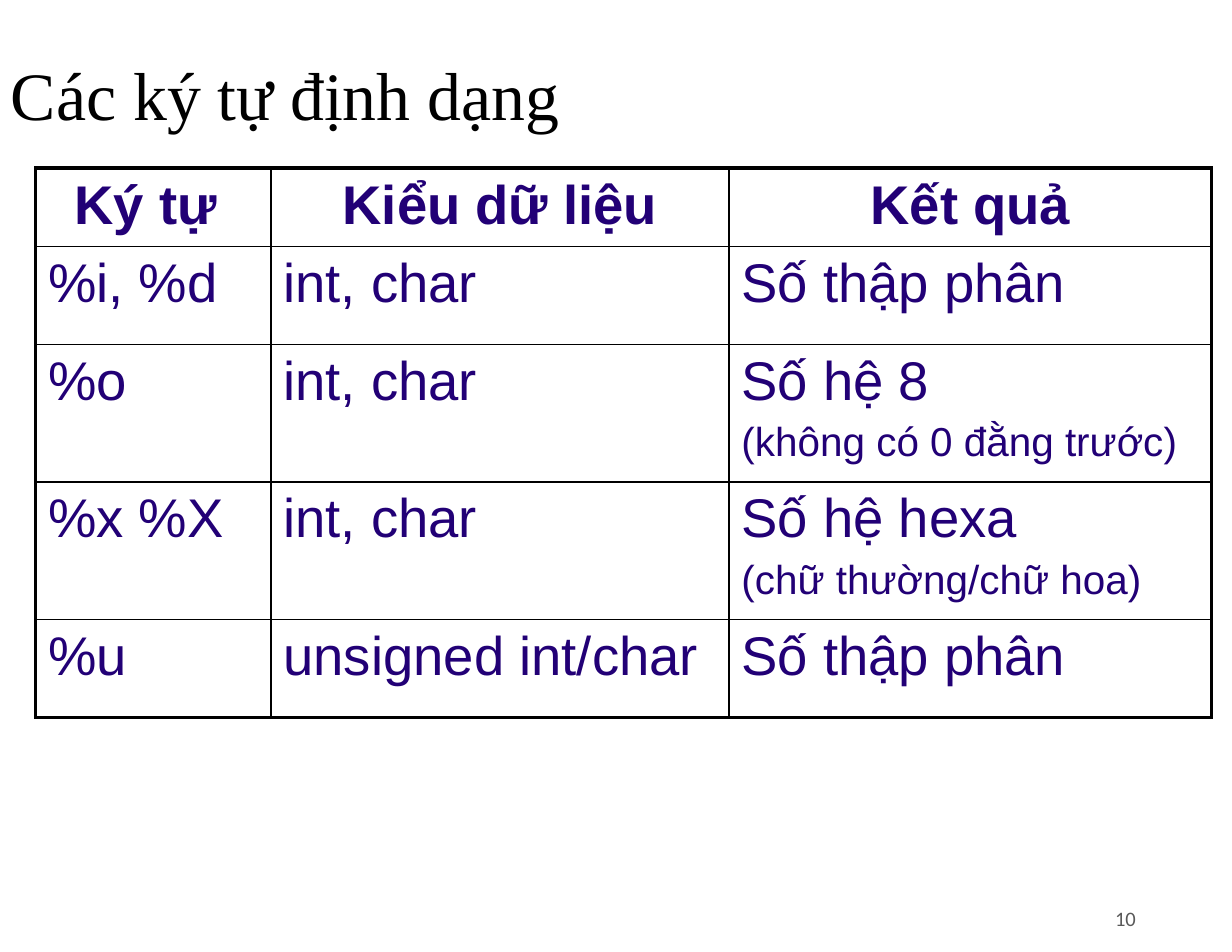
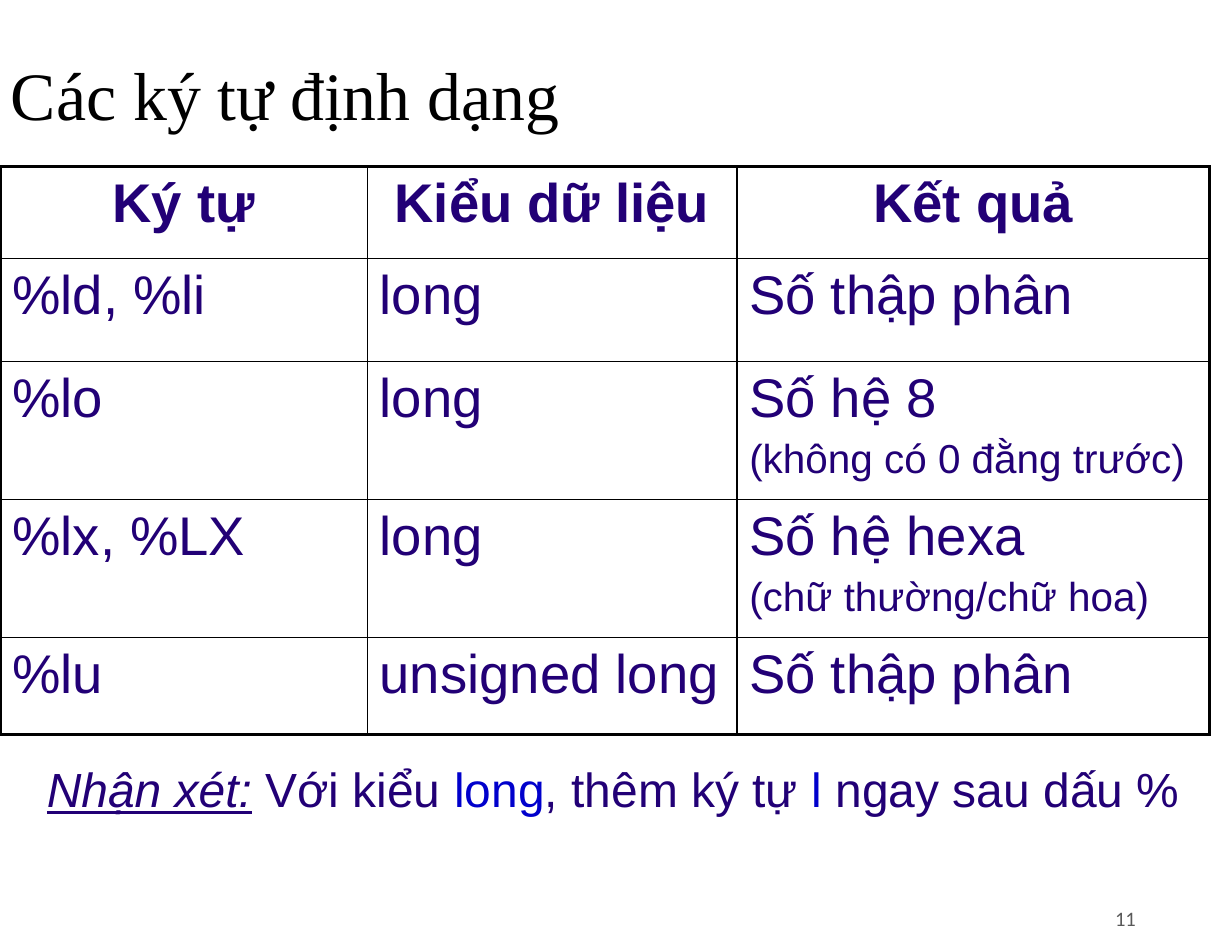
"""Build two slides of tables listing the printf format characters."""
from lxml import etree
from pptx import Presentation
from pptx.dml.color import RGBColor
from pptx.enum.text import MSO_ANCHOR, PP_ALIGN
from pptx.oxml.ns import qn
from pptx.util import Inches, Pt

LEFT, CENTER, RIGHT = PP_ALIGN.LEFT, PP_ALIGN.CENTER, PP_ALIGN.RIGHT
TOP, MIDDLE = MSO_ANCHOR.TOP, MSO_ANCHOR.MIDDLE

BLACK = RGBColor(0x00, 0x00, 0x00)
INDIGO = RGBColor(0x22, 0x00, 0x76)
BLUE = RGBColor(0x00, 0x00, 0xCC)
GRAY = RGBColor(0x59, 0x59, 0x59)

TITLE = "Các ký tự định dạng"
OUTER, INNER = 2.25, 1
DECIMAL = ["Số thập phân"]
OCTAL = ["Số hệ 8", "(không có 0 đằng trước)"]

PAGES = [
    {
        "number": "10",
        "corner": (0.32, 1.5),
        "widths": [2.1, 4.09, 4.31],
        "heights": [0.7, 0.87, 1.23, 1.23, 0.87],
        "rows": [
            [["Ký tự "], ["Kiểu dữ liệu"], ["Kết quả"]],
            [["%i, %d"], ["int, char"], DECIMAL],
            [["%o"], ["int, char"], OCTAL],
            [["%x %X"], ["int, char"], ["Số hệ hexa", "(chữ thường/chữ hoa)"]],
            [["%u"], ["unsigned int/char"], DECIMAL],
        ],
        "remark": [],
    },
    {
        "number": "11",
        "corner": (0, 1.49),
        "widths": [3.28, 3.3, 4.22],
        "heights": [0.82, 0.92, 1.23, 1.23, 0.87],
        "rows": [
            [["Ký tự"], ["Kiểu dữ liệu"], ["Kết quả"]],
            [["%ld, %li"], ["long"], DECIMAL],
            [["%lo"], ["long"], OCTAL],
            [["%lx, %LX"], ["long"], ["Số hệ hexa ", "(chữ thường/chữ hoa)"]],
            [["%lu"], ["unsigned long"], DECIMAL],
        ],
        "remark": [
            ("Nhận xét:", INDIGO, True),
            (" Với kiểu ", INDIGO, False),
            ("long", BLUE, False),
            (", thêm ký tự", INDIGO, False),
            (" l", BLUE, False),
            (" ngay sau dấu %", INDIGO, False),
        ],
    },
]


def add_run(paragraph, text, font_name, size, color):
    run = paragraph.add_run()
    run.text = text
    run.font.name = font_name
    run.font.size = Pt(size)
    run.font.color.rgb = color
    return run.font


def add_line_box(slide, left, top, width, height, anchor, align):
    frame = slide.shapes.add_textbox(
        Inches(left), Inches(top), Inches(width), Inches(height)).text_frame
    frame.word_wrap = True
    frame.vertical_anchor = anchor
    line = frame.paragraphs[0]
    line.alignment = align
    return line


prs = Presentation()
prs.slide_width, prs.slide_height = Inches(11), Inches(8.5)
blank = prs.slide_layouts[6]

for page in PAGES:
    slide = prs.slides.add_slide(blank)

    title = add_line_box(slide, 0, 0.58, 11, 0.6, MIDDLE, LEFT)
    title.line_spacing = 0.9
    add_run(title, TITLE, "Times New Roman", 43.6, BLACK)

    rows, widths, heights = page["rows"], page["widths"], page["heights"]
    left, top = page["corner"]
    formats = slide.shapes.add_table(
        len(rows), len(widths), Inches(left), Inches(top),
        Inches(sum(widths)), Inches(sum(heights))).table
    formats.first_row = formats.horz_banding = False
    for column, width in zip(formats.columns, widths):
        column.width = Inches(width)

    last_row, last_col = len(rows) - 1, len(widths) - 1
    for r, row in enumerate(rows):
        formats.rows[r].height = Inches(heights[r])
        for c, lines in enumerate(row):
            cell = formats.cell(r, c)
            cell.margin_left = cell.margin_right = Inches(0.11)
            cell.margin_top = cell.margin_bottom = Inches(0.06)
            for i, text in enumerate(lines):
                frame = cell.text_frame
                line = frame.add_paragraph() if i else frame.paragraphs[0]
                line.alignment = LEFT if r else CENTER
                if i:
                    line.space_before = Pt(5.2)
                font = add_run(line, text, "Arial", 26 if i else 35, INDIGO)
                font.bold = r == 0

            edges = {"a:lnL": c == 0, "a:lnR": c == last_col,
                     "a:lnT": r == 0, "a:lnB": r == last_row}
            properties = cell._tc.get_or_add_tcPr()
            for tag, is_outer in edges.items():
                border = etree.SubElement(properties, qn(tag))
                border.set("w", str(Pt(OUTER if is_outer else INNER)))
                fill = etree.SubElement(border, qn("a:solidFill"))
                etree.SubElement(fill, qn("a:srgbClr")).set("val", str(BLACK))
            cell.fill.background()

    if page["remark"]:
        remark = add_line_box(slide, 0.32, 6.73, 10.5, 0.62, TOP, LEFT)
        for text, color, is_lead in page["remark"]:
            font = add_run(remark, text, "Arial", 30.8, color)
            font.italic = font.underline = is_lead

    page_number = add_line_box(slide, 8.9, 7.97, 1.34, 0.45, MIDDLE, RIGHT)
    add_run(page_number, page["number"], "Calibri", 13.2, GRAY)

prs.save("out.pptx")
